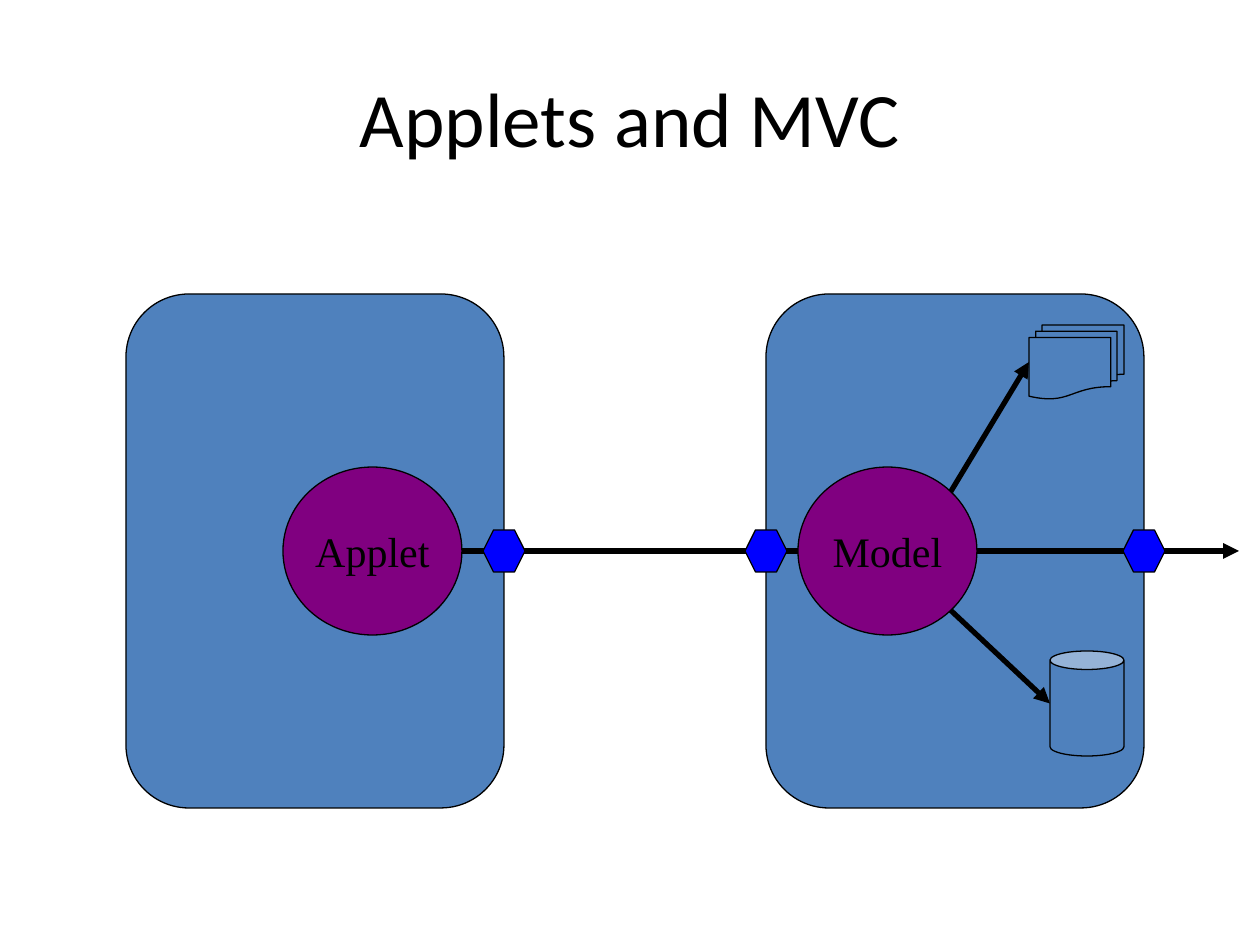
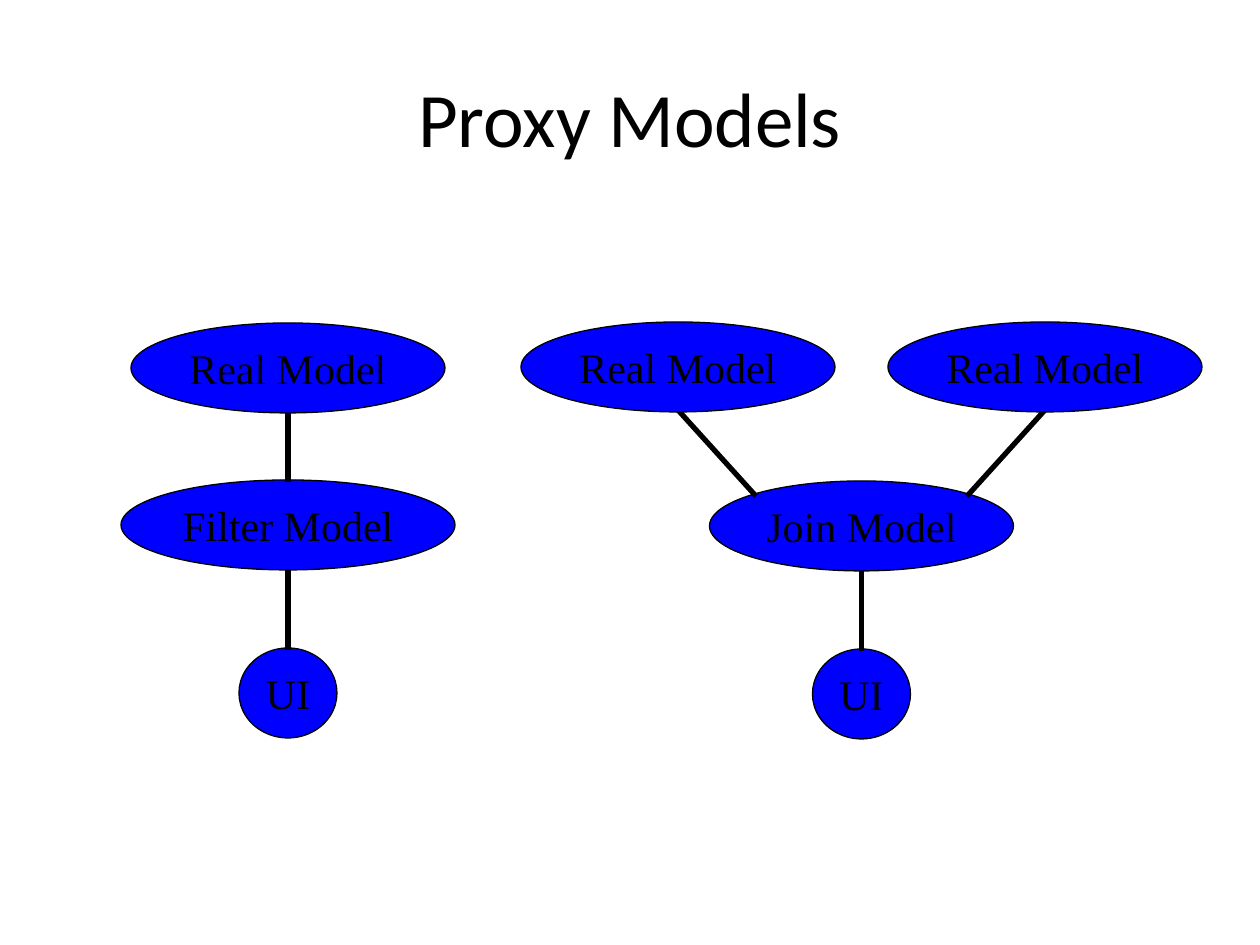
from math import sqrt

from lxml import etree
from pptx import Presentation
from pptx.dml.color import RGBColor
from pptx.enum.shapes import MSO_CONNECTOR, MSO_SHAPE
from pptx.enum.text import MSO_ANCHOR, PP_ALIGN
from pptx.oxml.ns import qn
from pptx.util import Pt

PX = 914400 / 126
WIDE, HIGH = 1260, 945
TITLE = (63, 38, 1134, 158)

BLACK = RGBColor(0, 0, 0)
STEEL = RGBColor(0x4F, 0x81, 0xBD)
PURPLE = RGBColor(0x80, 0, 0x80)
BLUE = RGBColor(0, 0, 0xFF)
HEAD_FONT, BODY_FONT = "Calibri", "Times New Roman"

OVAL, ROUND, HEX = MSO_SHAPE.OVAL, MSO_SHAPE.ROUNDED_RECTANGLE, MSO_SHAPE.HEXAGON
CAN, DOCS = MSO_SHAPE.CAN, MSO_SHAPE.FLOWCHART_MULTIDOCUMENT
LINE = MSO_CONNECTOR.STRAIGHT
CENTER, MIDDLE = PP_ALIGN.CENTER, MSO_ANCHOR.MIDDLE

DIAG = sqrt(0.5)
PORT = 42                # side of a hexagon port
DISC_W, DISC_H = 179, 168
NODE_H = 90
UI_W, REAL_W = 98, 314
LAP = 2                  # how far a link reaches into a node


def emu(*sizes):
    """Turn pixels into EMU."""
    return [round(size * PX) for size in sizes]


def style(frame, font, size):
    """Centre the text of a frame and set its font."""
    frame.vertical_anchor = MIDDLE
    for para in frame.paragraphs:
        para.alignment = CENTER
        for run in para.runs:
            run.font.name = font
            run.font.size = Pt(size)
            run.font.color.rgb = BLACK


def add_slide(deck, text):
    """Add a slide with the shared title style."""
    slide = deck.slides.add_slide(deck.slide_layouts[5])
    title = slide.shapes.title
    title.left, title.top, title.width, title.height = emu(*TITLE)
    title.text_frame.text = text
    style(title.text_frame, HEAD_FONT, 44)
    return slide


def add_shape(slide, kind, box, fill, text=""):
    """Add a thinly outlined shape, with a label if there is one."""
    shape = slide.shapes.add_shape(kind, *emu(*box))
    shape.shadow.inherit = False
    shape.fill.solid()
    shape.fill.fore_color.rgb = fill
    shape.line.color.rgb = BLACK
    shape.line.width = Pt(0.74)
    if text:
        shape.text_frame.text = text
        shape.text_frame.word_wrap = False
        style(shape.text_frame, BODY_FONT, 24)


def add_link(slide, start, end, arrow=False):
    """Add a thick line, with an arrowhead at its end if asked."""
    link = slide.shapes.add_connector(LINE, *emu(*start, *end))
    link.line.color.rgb = BLACK
    link.line.width = Pt(3)
    if arrow:
        tip = etree.SubElement(link.line._get_or_add_ln(), qn("a:tailEnd"))
        tip.set("type", "triangle")
    etree.SubElement(link._element.spPr, qn("a:effectLst"))


def add_port(slide, x, y):
    """Add a hexagon port centred on a point."""
    add_shape(slide, HEX, (x - PORT / 2, y - PORT / 2, PORT, PORT), BLUE)


def client(slide, box):
    """Draw the client panel with its applet disc."""
    x, y, w, h = box
    add_shape(slide, ROUND, box, STEEL)
    disc = (x + 157, y + (h - DISC_H) / 2, DISC_W, DISC_H)
    add_shape(slide, OVAL, disc, PURPLE, "Applet")
    return disc[0] + DISC_W


def server(slide, box, plug):
    """Draw the server panel, joined to the client at the point plug."""
    x, y, w, h = box
    add_shape(slide, ROUND, box, STEEL)
    left, mid = x + 32, y + h / 2
    right = left + DISC_W
    add_link(slide, (plug, mid), (left, mid))
    add_port(slide, x, mid)
    add_shape(slide, OVAL, (left, mid - DISC_H / 2, DISC_W, DISC_H), PURPLE, "Model")

    edge = left + DISC_W / 2 * (1 + DIAG)
    rise = DISC_H / 2 * DIAG
    docs, store = (x + 263, y + 31, 95, 74), (x + 284, y + 357, 74, 105)
    add_link(slide, (edge, mid + rise), (store[0], store[1] + store[3] / 2), True)
    add_link(slide, (right, mid), (x + w + 95, mid), True)
    add_port(slide, x + w, mid)
    add_shape(slide, CAN, store, STEEL)
    add_link(slide, (edge, mid - rise), (docs[0], docs[1] + docs[3] / 2), True)
    add_shape(slide, DOCS, docs, STEEL)


def add_node(slide, x, y, width, text):
    """Add a blue oval centred on a point."""
    add_shape(slide, OVAL, (x - width / 2, y - NODE_H / 2, width, NODE_H), BLUE, text)


def stack(slide, box, drops, name, width):
    """Draw real models over a proxy model over a UI, from the bottom up."""
    x, y, w, h = box
    mid = x + w / 2
    top, low = y + NODE_H / 2, y + h - NODE_H / 2
    join = y + drops + NODE_H / 2
    add_node(slide, mid, low, UI_W, "UI")
    add_link(slide, (mid, join + NODE_H / 2 - LAP), (mid, low - NODE_H / 2 + LAP))
    add_node(slide, mid, join, width, name)
    pair = w > REAL_W
    for side in (-1, 1) if pair else (0,):
        real = mid + side * (w - REAL_W) / 2
        bend = DIAG if pair else 1
        end = (mid + side * (width / 2 * DIAG - LAP),
               join - NODE_H / 2 * bend + LAP)
        add_link(slide, (real, top + NODE_H / 2 - LAP), end)
        add_node(slide, real, top, REAL_W, "Real Model")


def applets(deck):
    """Build the slide on applets."""
    slide = add_slide(deck, "Applets and MVC")
    near, far = (126, 294, 378, 514), (766, 294, 378, 514)
    plug = client(slide, near)
    server(slide, far, plug)
    add_port(slide, near[0] + near[2], near[1] + near[3] / 2)


def proxies(deck):
    """Build the slide on proxy models."""
    slide = add_slide(deck, "Proxy Models")
    stack(slide, (131, 323, REAL_W, 415), 157, "Filter Model", 334)
    stack(slide, (521, 322, 681, 417), 159, "Join Model", 304)


deck = Presentation()
deck.slide_width, deck.slide_height = emu(WIDE, HIGH)
applets(deck)
proxies(deck)
deck.save("out.pptx")
